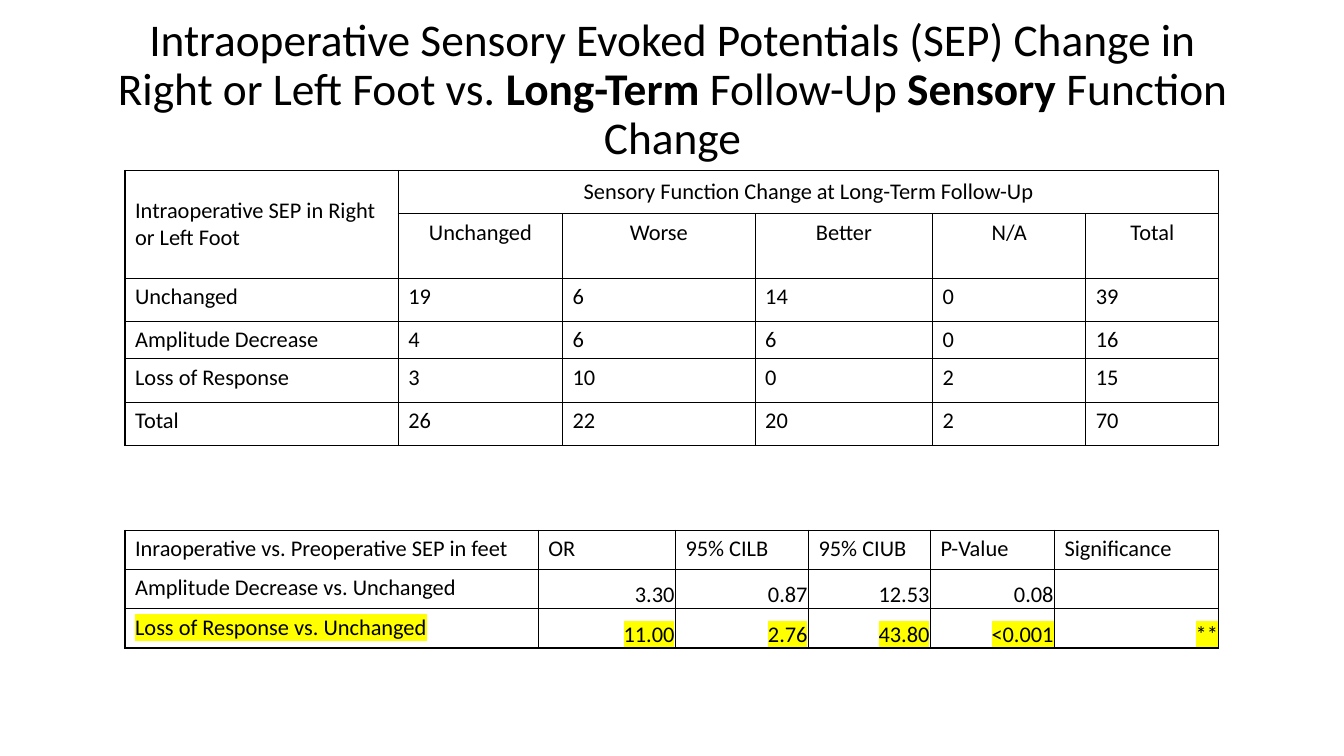
from dataclasses import dataclass

import pptx
import pptx.dml.color
import pptx.enum.text
import pptx.oxml
import pptx.oxml.ns
import pptx.util
from lxml import etree
from pptx.util import Inches

BLACK = pptx.dml.color.RGBColor(0x00, 0x00, 0x00)
YELLOW = pptx.dml.color.RGBColor(0xFF, 0xFF, 0x00)
FONT = "Calibri"
ALIGN = pptx.enum.text.PP_ALIGN
ANCHOR = pptx.enum.text.MSO_ANCHOR


@dataclass
class Grid:
    left: float
    top: float
    cols: list[float]
    rows: list[float]
    cells: list[list[str]]


COUNTS = Grid(
    1.24, 1.69,
    [2.71, 1.63, 1.91, 1.76, 1.52, 1.32],
    [0.43, 0.64, 0.43, 0.37, 0.43, 0.43],
    [
        ["Intraoperative SEP in Right or Left Foot",
         "Sensory Function Change at Long-Term Follow-Up", "", "", "", ""],
        ["", "Unchanged", "Worse", "Better", "N/A", "Total"],
        ["Unchanged", "19", "6", "14", "0", "39"],
        ["Amplitude Decrease", "4", "6", "6", "0", "16"],
        ["Loss of Response", "3", "10", "0", "2", "15"],
        ["Total", "26", "22", "20", "2", "70"],
    ],
)
ODDS = Grid(
    1.24, 5.26,
    [4.1, 1.36, 1.32, 1.21, 1.23, 1.63],
    [0.39] * 3,
    [
        ["Inraoperative vs. Preoperative SEP in feet", "OR", "95% CILB",
         "95% CIUB", "P-Value", "Significance"],
        ["Amplitude Decrease vs. Unchanged", "3.30", "0.87", "12.53", "0.08", ""],
        ["Loss of Response vs. Unchanged", "11.00", "2.76", "43.80", "<0.001", "**"],
    ],
)
TITLE = [
    ("Intraoperative Sensory Evoked Potentials (SEP) Change in Right or Left Foot vs. ", False),
    ("Long-Term ", True),
    ("Follow-Up ", False),
    ("Sensory ", True),
    ("Function Change", False),
]


def style(para, size: float) -> None:
    para.font.name = FONT
    para.font.size = pptx.util.Pt(size)
    para.font.color.rgb = BLACK


def frame(cell) -> None:
    """Give a cell black edges and no fill."""
    props = cell._tc.get_or_add_tcPr()
    for side in ("lnL", "lnR", "lnT", "lnB"):
        props.append(pptx.oxml.parse_xml(
            f'<a:{side} {pptx.oxml.ns.nsdecls("a")} w="{pptx.util.Pt(1)}">'
            f'<a:solidFill><a:srgbClr val="{BLACK}"/></a:solidFill></a:{side}>'))
    cell.fill.background()


def mark(run) -> None:
    """Highlight a run in yellow."""
    name = pptx.oxml.ns.qn
    light = etree.SubElement(run._r.get_or_add_rPr(), name("a:highlight"))
    etree.SubElement(light, name("a:srgbClr")).set("val", str(YELLOW))


def draw_grid(slide, grid: Grid):
    shape = slide.shapes.add_table(
        len(grid.rows), len(grid.cols), Inches(grid.left), Inches(grid.top),
        Inches(sum(grid.cols)), Inches(sum(grid.rows)))
    table = shape.table
    table.first_row = table.horz_banding = False
    for col, width in zip(table.columns, grid.cols):
        col.width = Inches(width)
    for row, height, texts in zip(table.rows, grid.rows, grid.cells):
        row.height = Inches(height)
        for cell, text in zip(row.cells, texts):
            frame(cell)
            para = cell.text_frame.paragraphs[0]
            style(para, 16)
            if text:
                para.add_run().text = text
    return table


def draw_title(slide) -> None:
    box = slide.shapes.add_textbox(Inches(0.92), Inches(0.29), Inches(11.5), Inches(1.23))
    text = box.text_frame
    text.word_wrap = True
    text.vertical_anchor = ANCHOR.MIDDLE
    para = text.paragraphs[0]
    para.alignment = ALIGN.CENTER
    para.line_spacing = 0.9
    style(para, 32.4)
    for words, bold in TITLE:
        run = para.add_run()
        run.text = words
        run.font.bold = bold


def draw_counts(slide) -> None:
    table = draw_grid(slide, COUNTS)
    table.cell(0, 0).merge(table.cell(1, 0))
    table.cell(0, 1).merge(table.cell(0, 5))
    for col in (0, 1):
        table.cell(0, col).vertical_anchor = ANCHOR.MIDDLE
    heads = [table.cell(0, 1)] + [table.cell(1, col) for col in range(1, 6)]
    for head in heads:
        head.text_frame.paragraphs[0].alignment = ALIGN.CENTER


def draw_odds(slide) -> None:
    table = draw_grid(slide, ODDS)
    for row in (1, 2):
        for col in range(1, 6):
            cell = table.cell(row, col)
            cell.vertical_anchor = ANCHOR.BOTTOM
            cell.margin_left = cell.margin_right = cell.margin_top = Inches(0.01)
            cell.margin_bottom = 0
            cell.text_frame.paragraphs[0].alignment = ALIGN.RIGHT
    for col in range(6):
        mark(table.cell(2, col).text_frame.paragraphs[0].runs[0])


def main() -> None:
    deck = pptx.Presentation()
    deck.slide_width, deck.slide_height = Inches(13.33), Inches(7.5)
    slide = deck.slides.add_slide(deck.slide_layouts[6])
    draw_title(slide)
    draw_odds(slide)
    draw_counts(slide)
    deck.save("out.pptx")


if __name__ == "__main__":
    main()
